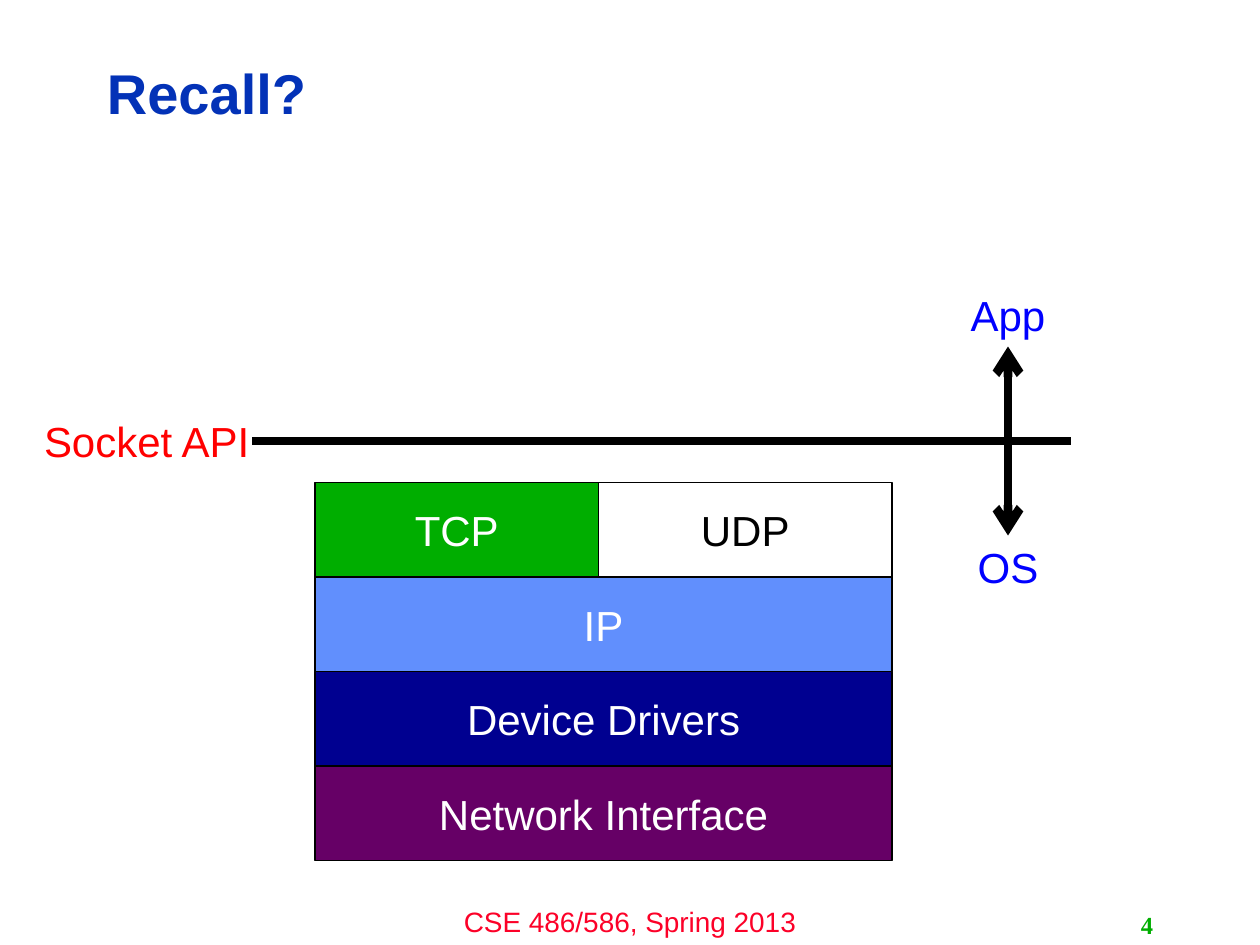
from pptx import Presentation
from pptx.util import Inches, Pt
from pptx.dml.color import RGBColor
from pptx.enum.shapes import MSO_SHAPE, MSO_CONNECTOR
from pptx.enum.text import PP_ALIGN, MSO_ANCHOR
from pptx.oxml.ns import qn
from lxml.etree import SubElement


def color(code):
    return RGBColor.from_string(code)


def write(shape, text, size, code, align=PP_ALIGN.CENTER, anchor=MSO_ANCHOR.MIDDLE,
          face="Arial", bold=False):
    frame = shape.text_frame
    frame.word_wrap = True
    frame.vertical_anchor = anchor
    frame.text = text
    para = frame.paragraphs[0]
    para.alignment = align
    font = para.runs[0].font
    font.name = face
    font.size = Pt(size)
    font.bold = bold
    font.color.rgb = color(code)


deck = Presentation()
deck.slide_width = Inches(10)
deck.slide_height = Inches(7.5)
slide = deck.slides.add_slide(deck.slide_layouts[6])
shapes = slide.shapes

foot = shapes.add_textbox(Inches(3.33), Inches(7.13), Inches(3.34), Inches(0.37))
write(foot, "CSE 486/586, Spring 2013", 16, "FC0128", anchor=MSO_ANCHOR.TOP)

title = shapes.add_textbox(Inches(0.75), Inches(0.36), Inches(7.98), Inches(0.81))
write(title, "Recall?", 32, "0332B7", align=PP_ALIGN.LEFT, bold=True)
title.text_frame.paragraphs[0].line_spacing = 0.9

page = shapes.add_textbox(Inches(7.17), Inches(7.18), Inches(2.08), Inches(0.32))
write(page, "4", 14, "00AE00", align=PP_ALIGN.RIGHT, face="Times New Roman", bold=True)

left, top, high = 2.5, 3.83, 0.75
stack = [
    [("TCP", 2.25, "00AE00", "FFFFFF"), ("UDP", 2.33, "FFFFFF", "000000")],
    [("IP", 4.58, "618FFD", "FFFFFF")],
    [("Device Drivers", 4.58, "000090", "FFFFFF")],
    [("Network Interface", 4.58, "660066", "FFFFFF")],
]
for row, cells in enumerate(stack):
    x = left
    for text, wide, fill, ink in cells:
        box = shapes.add_shape(MSO_SHAPE.RECTANGLE, Inches(x), Inches(top + row * high),
                               Inches(wide), Inches(high))
        box.shadow.inherit = False
        box.fill.solid()
        box.fill.fore_color.rgb = color(fill)
        box.line.color.rgb = color("000000")
        box.line.width = Pt(0.75)
        write(box, text, 24, ink)
        x += wide

labels = {}
for text, x, y, wide, ink in [
    ("OS", 7.33, 4.25, 1.34, "0000FF"),
    ("App", 7.33, 2.25, 1.34, "0000FF"),
    ("Socket API", 0.25, 3.25, 1.83, "FF0000"),
]:
    label = shapes.add_textbox(Inches(x), Inches(y), Inches(wide), Inches(0.5))
    write(label, text, 24, ink, anchor=MSO_ANCHOR.TOP)
    labels[text] = label

for x1, y1, x2, y2, goal, side in [
    (2, 3.5, 8.5, 3.5, None, None),
    (8, 3.5, 8, 4.25, "OS", 0),
    (8, 3.5, 8, 2.75, "App", 2),
]:
    line = shapes.add_connector(MSO_CONNECTOR.STRAIGHT, Inches(x1), Inches(y1),
                                Inches(x2), Inches(y2))
    line.line.color.rgb = color("000000")
    line.line.width = Pt(5)
    if goal:
        line.end_connect(labels[goal], side)
        SubElement(line.line._get_or_add_ln(), qn("a:tailEnd"), type="arrow")
    SubElement(line._element.spPr, qn("a:effectLst"))

deck.save("out.pptx")
